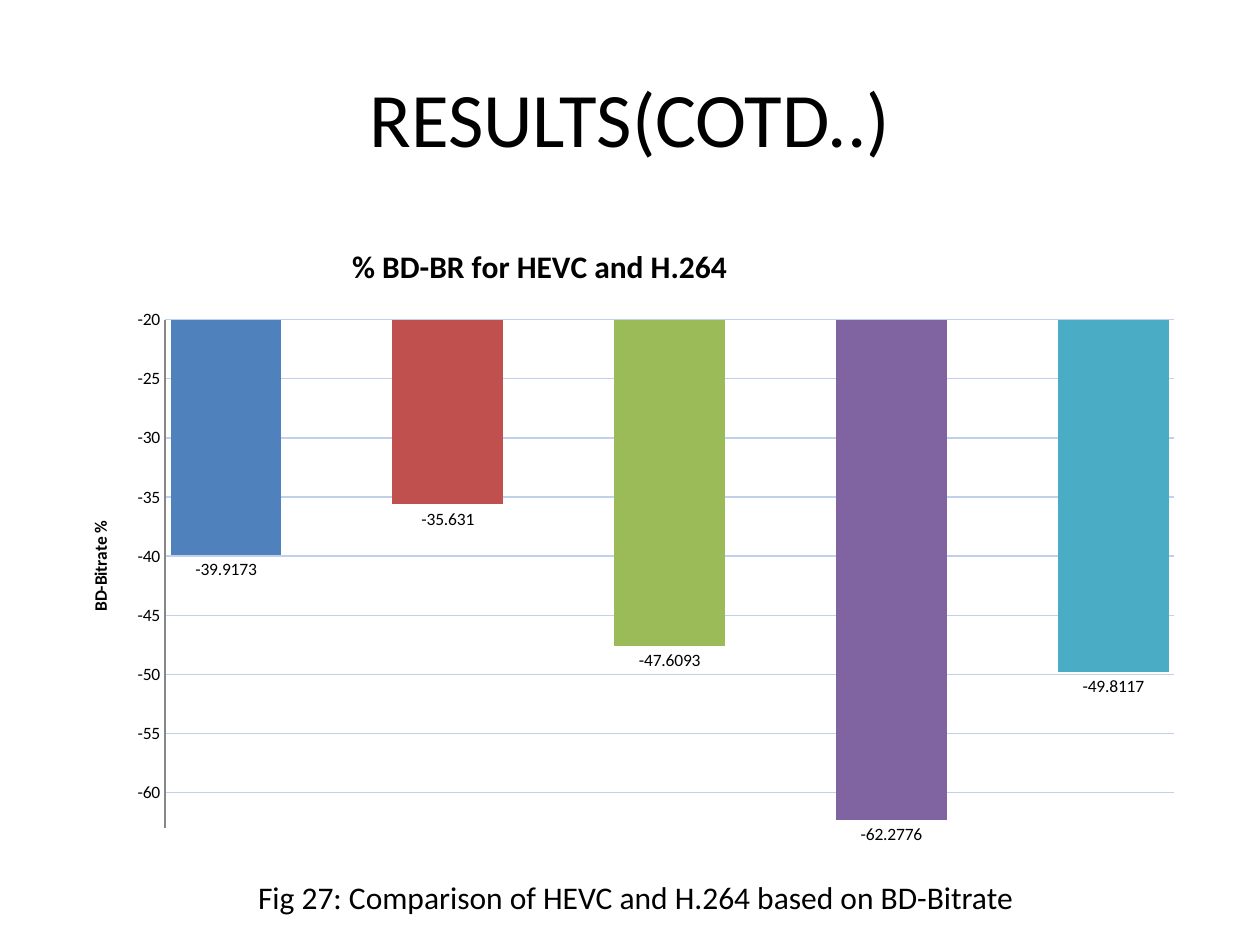
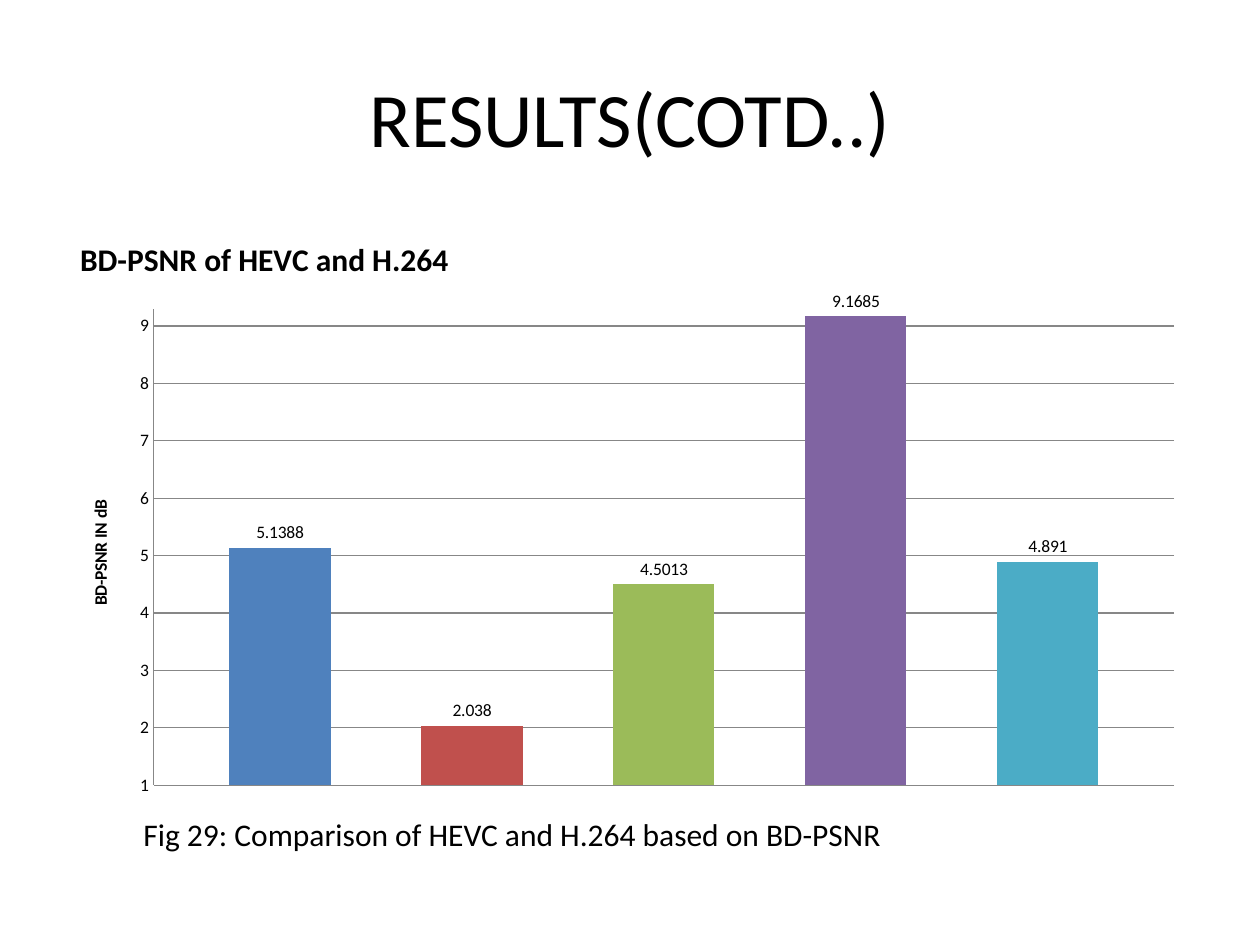
"""Build two result slides that compare HEVC and H.264 in column charts."""
from lxml.etree import SubElement
from pptx import Presentation
from pptx.chart.data import CategoryChartData
from pptx.dml.color import RGBColor
from pptx.enum.chart import XL_CHART_TYPE, XL_LABEL_POSITION, XL_TICK_MARK
from pptx.enum.text import MSO_ANCHOR, MSO_AUTO_SIZE, PP_ALIGN
from pptx.oxml import parse_xml
from pptx.oxml.ns import nsdecls, qn
from pptx.util import Pt

color = RGBColor.from_string
FACE = "Calibri"
BLACK = "000000"
GREY = "878787"
FILLS = ["4F81BD", "C0504D", "9BBB59", "8064A2", "4BACC6"]

PAGES = [
    dict(caption="Fig 27: Comparison of HEVC and H.264 based on BD-Bitrate",
         left=140.4, top=498.24, width=452, height=356.4,
         title="% BD-BR for HEVC and H.264", unit="BD-Bitrate %",
         values=[-39.9173, -35.631, -47.6093, -62.2776, -49.8117],
         low=-63, high=-20, step=5, grid="C1D1EC", gap=10, lap=-100,
         plot=(0.09, 0.16, 0.89, 0.82), head=(0.25, 0.03), side=(0.02, 0.48)),
    dict(caption="Fig 29: Comparison of HEVC and H.264 based on BD-PSNR",
         left=74.88, top=462.24, width=442, height=336.24,
         title="BD-PSNR of HEVC and H.264", unit="BD-PSNR IN dB",
         values=[5.1388, 2.038, 4.5013, 9.1685, 4.891],
         low=1, high=9.3, step=1, grid=GREY, gap=150, lap=-90,
         plot=(0.08, 0.15, 0.9, 0.81), head=(0.01, 0.02), side=(0.02, 0.47)),
]


def write(frame, text, size, bold=False):
    frame.word_wrap = True
    frame.text = text
    line = frame.paragraphs[0]
    line.font.name = FACE
    line.font.size = Pt(size)
    line.font.bold = bold
    line.font.color.rgb = color(BLACK)
    return line


def place(node, box):
    layout = node.find(qn("c:layout"))
    if layout is None:
        layout = parse_xml(f"<c:layout {nsdecls('c')}/>")
        node.insert(0, layout)
    for child in list(layout):
        layout.remove(child)
    manual = SubElement(layout, qn("c:manualLayout"))
    if len(box) == 4:
        SubElement(manual, qn("c:layoutTarget"), val="inner")
    for tag in ("xMode", "yMode"):
        SubElement(manual, qn("c:" + tag), val="edge")
    for tag, share in zip("xywh", box):
        SubElement(manual, qn("c:" + tag), val=str(share))


deck = Presentation()
deck.slide_width, deck.slide_height = Pt(720), Pt(540)

for page in PAGES:
    slide = deck.slides.add_slide(deck.slide_layouts[6])

    frame = slide.shapes.add_textbox(Pt(36), Pt(21.6), Pt(648), Pt(90)).text_frame
    frame.vertical_anchor = MSO_ANCHOR.MIDDLE
    write(frame, "RESULTS(COTD..)", 44).alignment = PP_ALIGN.CENTER

    frame = slide.shapes.add_textbox(
        Pt(page["left"]), Pt(page["top"]), Pt(page["width"]), Pt(30)).text_frame
    frame.auto_size = MSO_AUTO_SIZE.SHAPE_TO_FIT_TEXT
    write(frame, page["caption"], 18)

    data = CategoryChartData()
    data.categories = ["1"]
    for index, value in enumerate(page["values"], 1):
        data.add_series(f"Series {index}", [value])
    chart = slide.shapes.add_chart(
        XL_CHART_TYPE.COLUMN_CLUSTERED, Pt(36), Pt(126), Pt(648),
        Pt(page["height"]), data).chart
    chart.font.name = "Arial"
    chart.font.size = Pt(10)
    chart.font.color.rgb = color(BLACK)
    chart.has_legend = False
    chart.has_title = True
    write(chart.chart_title.text_frame, page["title"], 18, True)

    chart.category_axis.visible = False
    axis = chart.value_axis
    axis.minimum_scale, axis.maximum_scale = page["low"], page["high"]
    axis.major_unit = page["step"]
    axis.major_tick_mark = XL_TICK_MARK.NONE
    axis.minor_tick_mark = XL_TICK_MARK.NONE
    axis.has_major_gridlines = True
    axis.has_title = True
    write(axis.axis_title.text_frame, page["unit"], 10, True)
    for line, tint in ((axis.format.line, GREY),
                       (axis.major_gridlines.format.line, page["grid"])):
        line.color.rgb = color(tint)
        line.width = Pt(0.75)

    plot = chart.plots[0]
    plot.vary_by_categories = False
    plot.gap_width, plot.overlap = page["gap"], page["lap"]
    plot.has_data_labels = True
    labels = plot.data_labels
    labels.show_value = True
    labels.position = XL_LABEL_POSITION.OUTSIDE_END
    labels.number_format = "General"
    labels.number_format_is_linked = False
    for font in (axis.tick_labels.font, labels.font):
        font.name = FACE
        font.size = Pt(10)
        font.color.rgb = color(BLACK)
    for bar, tint in zip(plot.series, FILLS):
        bar.invert_if_negative = False
        bar.format.fill.solid()
        bar.format.fill.fore_color.rgb = color(tint)

    place(chart._chartSpace.chart.plotArea, page["plot"])
    place(chart.chart_title._element, page["head"])
    place(axis.axis_title._element, page["side"])

deck.save("out.pptx")
